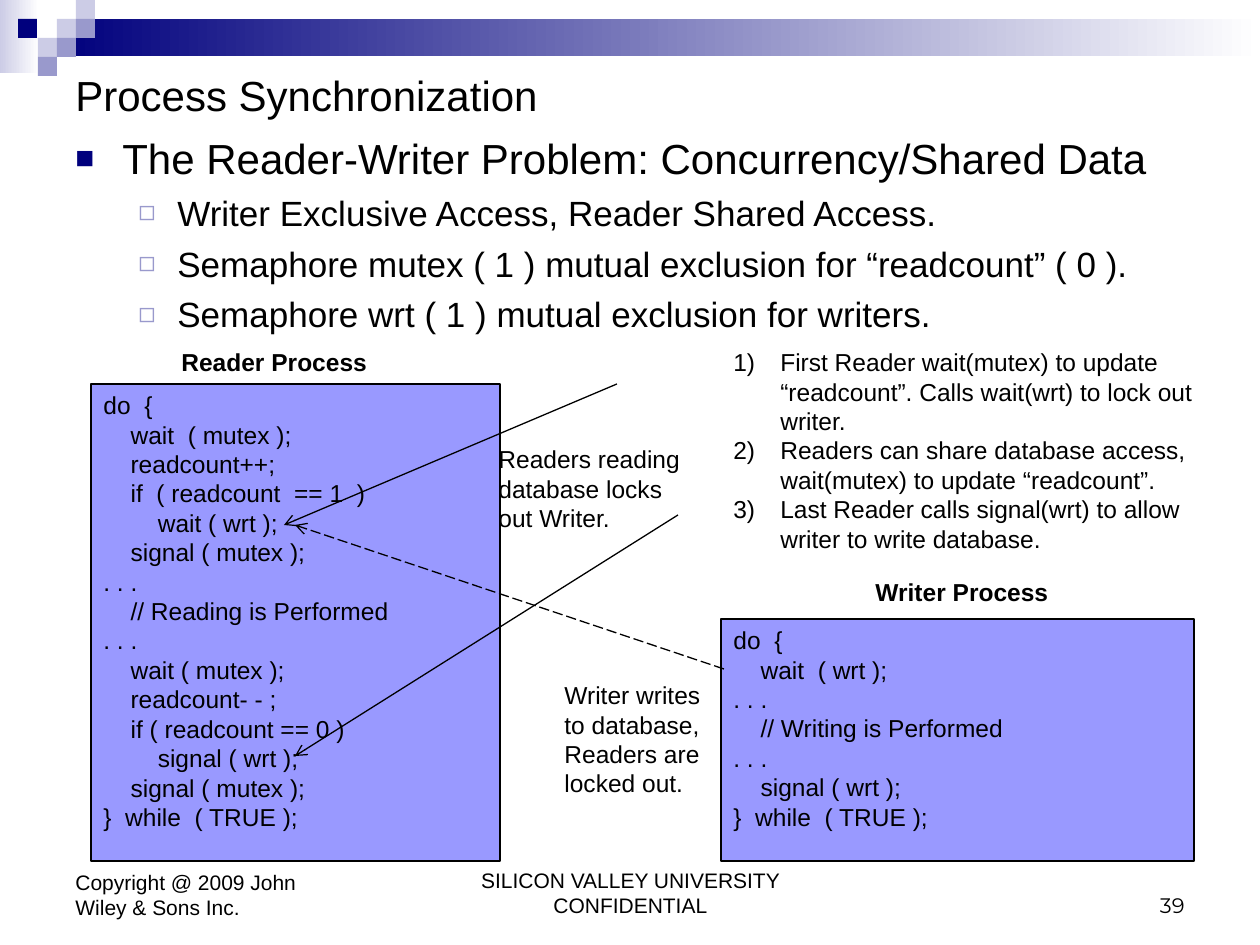
from lxml import etree
from pptx import Presentation
from pptx.dml.color import RGBColor
from pptx.enum.dml import MSO_LINE
from pptx.enum.shapes import MSO_CONNECTOR, MSO_SHAPE
from pptx.enum.text import MSO_ANCHOR, PP_ALIGN
from pptx.oxml.ns import qn
from pptx.util import Pt

RECT, LINE = MSO_SHAPE.RECTANGLE, MSO_CONNECTOR.STRAIGHT
TOP, MID, LOW = MSO_ANCHOR.TOP, MSO_ANCHOR.MIDDLE, MSO_ANCHOR.BOTTOM
LEFT, MIDDLE, RIGHT = PP_ALIGN.LEFT, PP_ALIGN.CENTER, PP_ALIGN.RIGHT
DASH = MSO_LINE.LONG_DASH
NAVY, MIST, LILAC, PANEL = "00007D", "CCCCE6", "9999CC", "9999FF"
BLACK, WHITE = "000000", "FFFFFF"
CELL = 19

READER = """do  {
    wait  ( mutex );
    readcount++;
    if  ( readcount  == 1  )
        wait ( wrt );
    signal ( mutex );
. . .
    // Reading is Performed
. . .
    wait ( mutex );
    readcount- - ;
    if ( readcount == 0 )
        signal ( wrt );
    signal ( mutex );
}  while  ( TRUE );"""

WRITER = """do  {
    wait  ( wrt );
. . .
    // Writing is Performed
. . .
    signal ( wrt );
}  while  ( TRUE );"""

POINTS = [
    "Writer Exclusive Access, Reader Shared Access.",
    "Semaphore mutex ( 1 ) mutual exclusion for “readcount” ( 0 ).",
    "Semaphore wrt ( 1 ) mutual exclusion for writers.",
]
STEPS = [
    "First Reader wait(mutex) to update “readcount”. Calls wait(wrt) to lock out writer.",
    "Readers can share database access, wait(mutex) to update “readcount”.",
    "Last Reader calls signal(wrt) to allow writer to write database.",
]


def px(n):
    return round(n * 914400 / 126)


def color(code):
    return RGBColor.from_string(code)


def write(para, text, size=14, **fmt):
    """Put one formatted run into a paragraph."""
    run = para.add_run()
    run.text = text
    look = {"name": "Arial", "size": Pt(size), "bold": False} | fmt
    for key, val in look.items():
        setattr(run.font, key, val)
    run.font.color.rgb = color(BLACK)


def paras(frame, count):
    """Return the frame's paragraphs, grown to the given count."""
    for _ in range(count - 1):
        frame.add_paragraph()
    return frame.paragraphs


def bullet(para, left, hang, tag, **attrs):
    """Set a hanging indent and append a bullet mark."""
    props = para._p.get_or_add_pPr()
    props.set("marL", str(px(left)))
    props.set("indent", str(-px(hang)))
    etree.SubElement(props, qn(tag), attrs)


def mark(para, left, hang, char, tint, size):
    """Give a paragraph a coloured bullet sign."""
    props = para._p.get_or_add_pPr()
    hue = etree.SubElement(props, qn("a:buClr"))
    etree.SubElement(hue, qn("a:srgbClr"), val=tint)
    etree.SubElement(props, qn("a:buSzPct"), val=str(size * 1000))
    etree.SubElement(props, qn("a:buFont"), typeface="Arial")
    bullet(para, left, hang, "a:buChar", char=char)


def frame(slide, box, anchor=TOP):
    """Add an empty wrapping text box."""
    text = slide.shapes.add_textbox(*map(px, box)).text_frame
    text.word_wrap = True
    text.vertical_anchor = anchor
    return text


def label(slide, box, text, anchor=TOP, align=LEFT, **fmt):
    para = frame(slide, box, anchor).paragraphs[0]
    para.alignment = align
    write(para, text, **fmt)


def block(slide, box, fill):
    """Add a plain rectangle; a pair of fills makes a gradient."""
    shape = slide.shapes.add_shape(RECT, *map(px, box))
    shape.shadow.inherit = False
    shape.line.fill.background()
    if isinstance(fill, tuple):
        shape.fill.gradient()
        shape.fill.gradient_angle = 0
        for stop, code in zip(shape.fill.gradient_stops, fill):
            stop.color.rgb = color(code)
    else:
        shape.fill.solid()
        shape.fill.fore_color.rgb = color(fill)
    return shape


def banner(slide, box):
    """Draw the top bar with its mosaic of squares."""
    x, y, w, h = box
    block(slide, (x, y, 39, 73), (MIST, WHITE))
    block(slide, (x + 3 * CELL, y + CELL, w - 3 * CELL, 2 * CELL - 1), (NAVY, WHITE))
    block(slide, (x + 18, y + CELL, CELL, CELL), NAVY)
    cells = [(3, 1, MIST), (4, 0, MIST), (4, 1, LILAC), (2, 2, MIST),
             (3, 2, LILAC), (2, 3, LILAC)]
    for col, row, fill in cells:
        block(slide, (x + col * CELL, y + row * CELL, CELL, CELL), fill)


def outline(slide, box):
    """Write the main point and its sub-points."""
    head, *subs = paras(frame(slide, box), 1 + len(POINTS))
    mark(head, 47, 47, "■", NAVY, 75)
    write(head, "The Reader-Writer Problem: Concurrency/Shared Data", 24)
    for para, text in zip(subs, POINTS):
        para.space_before = Pt(5)
        mark(para, 102, 39, "◻", LILAC, 80)
        write(para, text, 20)


def code(slide, box, text):
    """Draw a panel of code lines."""
    shape = block(slide, box, PANEL)
    shape.line.color.rgb = color(BLACK)
    shape.line.width = Pt(0.75)
    body = shape.text_frame
    body.word_wrap = True
    body.vertical_anchor = TOP
    lines = text.splitlines()
    for para, line in zip(paras(body, len(lines)), lines):
        para.alignment = LEFT
        write(para, line)


def steps(slide, box):
    """Write the numbered list."""
    for para, text in zip(paras(frame(slide, box), len(STEPS)), STEPS):
        bullet(para, 47, 47, "a:buAutoNum", type="arabicParenR")
        write(para, text)


def arrow(slide, ends, dash=None):
    line = slide.shapes.add_connector(LINE, *map(px, ends))
    line.line.color.rgb = color(BLACK)
    line.line.width = Pt(0.75)
    if dash:
        line.line.dash_style = dash
    etree.SubElement(line.line._get_or_add_ln(), qn("a:tailEnd"), type="arrow")
    etree.SubElement(line._element.spPr, qn("a:effectLst"))


def footer(slide, box):
    """Write the copyright, the middle line and the page number."""
    x, y, w, h = box
    label(slide, (x, y, 294, h + 2), "Copyright @ 2009 John Wiley & Sons Inc.",
          LOW, size=12)
    label(slide, (x + 368, y, 399, h), "SILICON VALLEY UNIVERSITY CONFIDENTIAL",
          LOW, MIDDLE, size=12)
    label(slide, (x + w - 294, y, 294, h), "39", LOW, RIGHT, size=12,
          name="Montserrat")


def main():
    deck = Presentation()
    deck.slide_width, deck.slide_height = px(1260), px(945)
    slide = deck.slides.add_slide(deck.slide_layouts[6])
    banner(slide, (0, 0, 1260, 76))
    outline(slide, (63, 126, 1197, 220))
    footer(slide, (63, 861, 1134, 63))
    label(slide, (63, 63, 1134, 63), "Process Synchronization", MID, size=24)
    code(slide, (91, 384, 409, 477), READER)
    code(slide, (721, 619, 473, 242), WRITER)
    label(slide, (169, 341, 252, 43), "Reader Process", bold=True)
    label(slide, (863, 571, 331, 43), "Writer Process", bold=True)
    steps(slide, (721, 341, 514, 229))
    arrow(slide, (617, 384, 284, 525))
    arrow(slide, (724, 669, 295, 525), DASH)
    arrow(slide, (678, 515, 295, 756))
    label(slide, (552, 674, 169, 131),
          "Writer writes to database, Readers are locked out.")
    label(slide, (486, 438, 208, 101), "Readers reading database locks out Writer.")
    deck.save("out.pptx")


if __name__ == "__main__":
    main()
